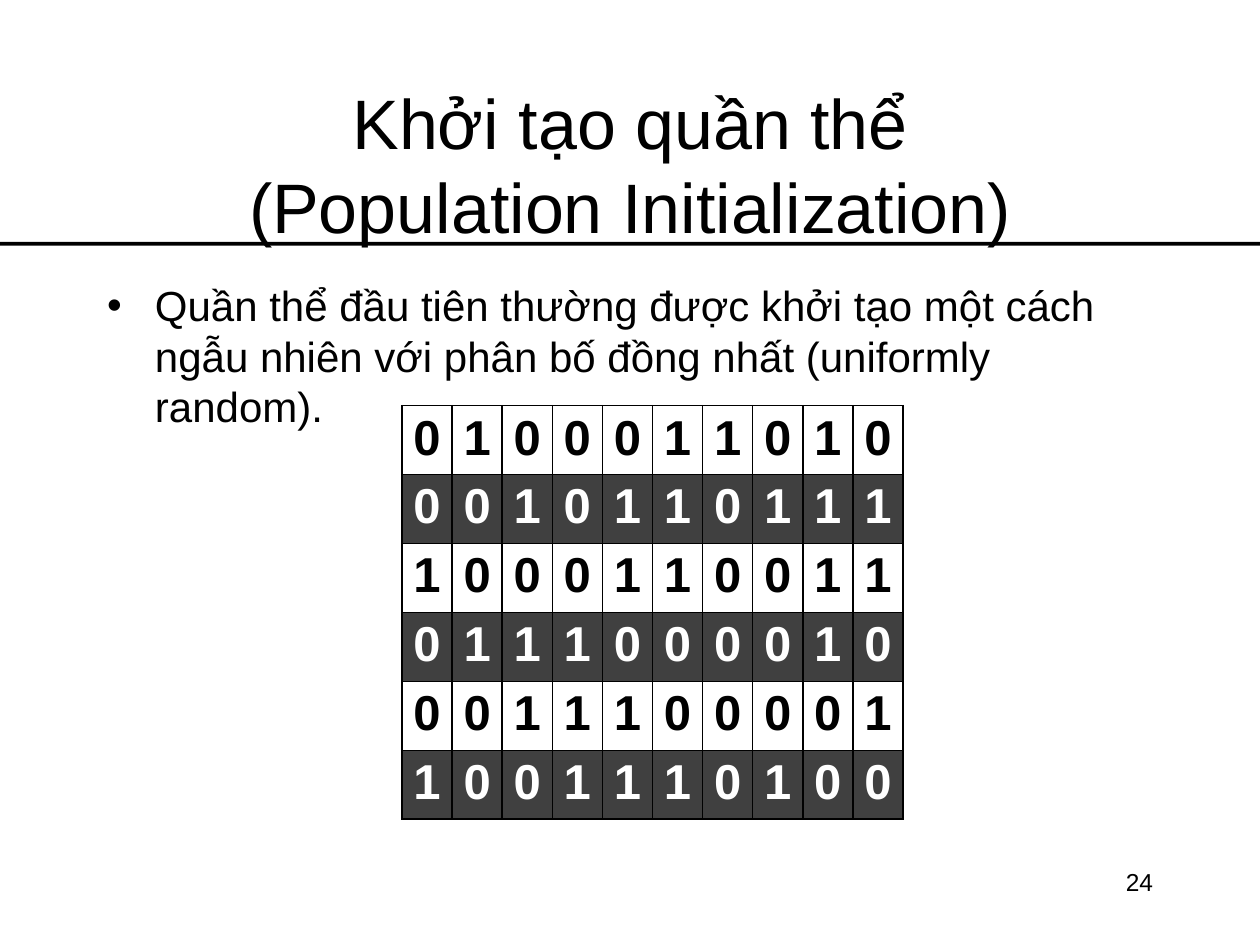
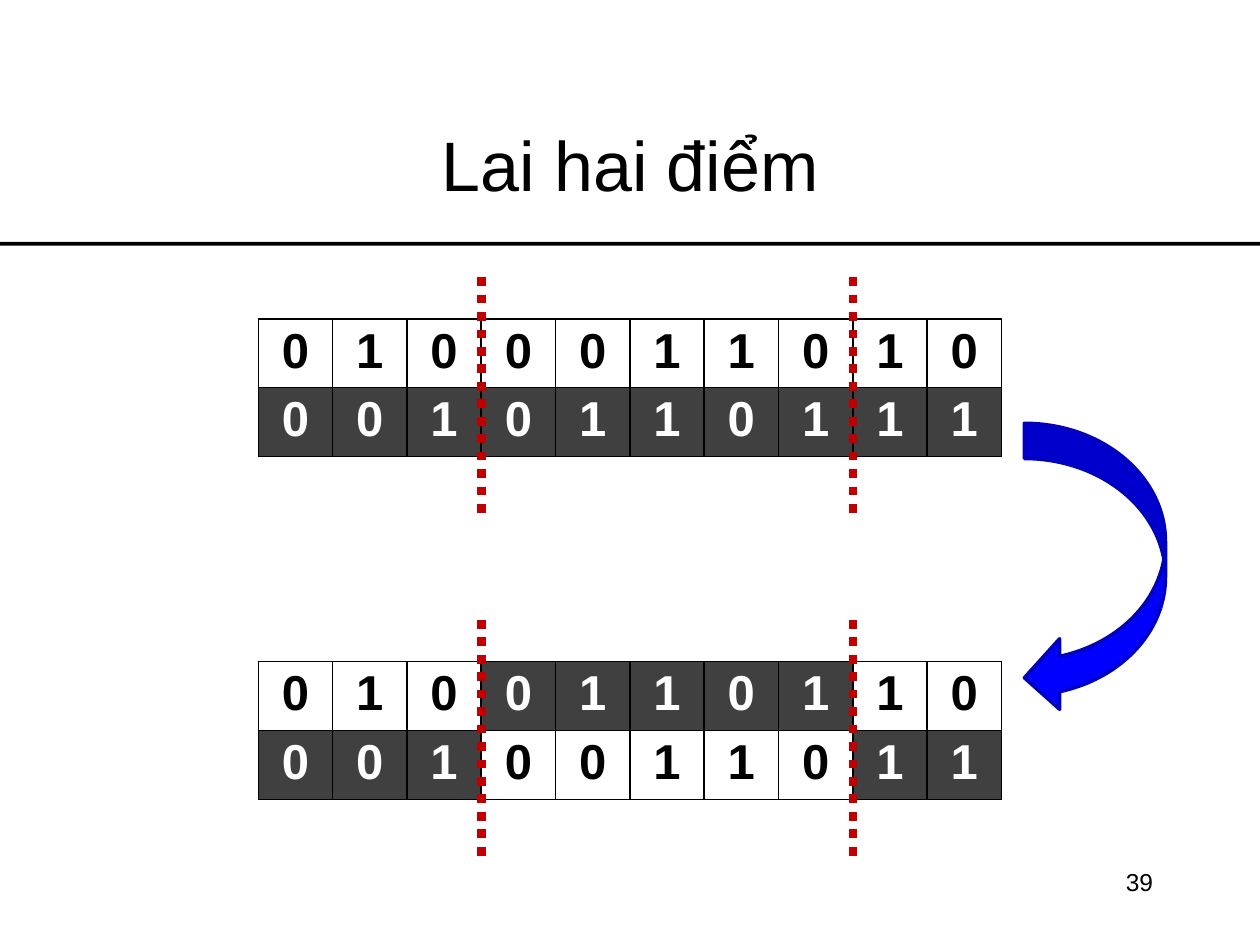
from dataclasses import dataclass

from lxml.etree import SubElement
from pptx import Presentation
from pptx.dml.color import RGBColor
from pptx.enum.dml import MSO_LINE
from pptx.enum.shapes import MSO_CONNECTOR, MSO_SHAPE
from pptx.enum.text import MSO_ANCHOR, MSO_AUTO_SIZE, PP_ALIGN
from pptx.oxml.ns import qn
from pptx.util import Inches, Pt


@dataclass(frozen=True)
class Theme:
    font: str = "Arial"
    ink: RGBColor = RGBColor(0x00, 0x00, 0x00)
    paper: RGBColor = RGBColor(0xFF, 0xFF, 0xFF)
    dark: RGBColor = RGBColor(0x40, 0x40, 0x40)
    cut: RGBColor = RGBColor(0xC0, 0x00, 0x00)
    arrow: RGBColor = RGBColor(0x00, 0x00, 0xFF)
    arrow_edge: RGBColor = RGBColor(0x00, 0x00, 0xBD)
    title_size: int = 40
    body_size: int = 24
    bit_size: int = 28
    number_size: int = 14


THEME = Theme()

# Boxes: left, top, width, height in inches
TITLE_BOX = (0.75, 0.67, 8.5, 1.25)
RULE_BOX = (0, 1.92, 10, 0.03)
BODY_BOX = (0.75, 2.17, 8.5, 4.5)
NUMBER_BOX = (7.17, 6.83, 2.08, 0.5)
POPULATION_BOX = (3.19, 3.22, 3.98, 3.12)
PARENTS_BOX = (2.05, 2.53, 5.9, 1.04)
CHILDREN_BOX = (2.05, 5.25, 5.9, 1.04)
ARROW_BOX = (8.13, 3.36, 1.12, 2.3)

POPULATION = ["0100011010", "0010110111", "1000110011",
              "0111000010", "0011100001", "1001110100"]
CUTS = (3, 8)
CUT_OVERHANG = 0.33
CUT_LENGTH = 1.9


def apply_format(target, values):
    for attribute, value in values.items():
        setattr(target, attribute, value)


def place(part, box):
    names = ("left", "top", "width", "height")
    apply_format(part, dict(zip(names, map(Inches, box))))


def style_paragraph(paragraph, size, align, color=THEME.ink, bold=False):
    apply_format(paragraph, {"alignment": align, "space_before": Pt(0)})
    apply_format(paragraph.font, {"name": THEME.font, "size": Pt(size), "bold": bold})
    paragraph.font.color.rgb = color


def add_filled_shape(slide, kind, box, fill):
    shape = slide.shapes.add_shape(kind, *map(Inches, box))
    shape.shadow.inherit = False
    shape.fill.solid()
    shape.fill.fore_color.rgb = fill
    return shape


# Title, rule and page number shared by the slides
def add_frame(deck, layout_index, title_lines, number):
    slide = deck.slides.add_slide(deck.slide_layouts[layout_index])
    rule = add_filled_shape(slide, MSO_SHAPE.RECTANGLE, RULE_BOX, THEME.ink)
    rule.line.fill.background()

    title = slide.shapes.title
    place(title, TITLE_BOX)
    apply_format(title.text_frame, {"vertical_anchor": MSO_ANCHOR.MIDDLE,
                                    "auto_size": MSO_AUTO_SIZE.NONE,
                                    "word_wrap": True})
    heading = title.text_frame.paragraphs[0]
    for index, line in enumerate(title_lines):
        if index:
            heading.add_line_break()
        heading.add_run().text = line
    style_paragraph(heading, THEME.title_size, PP_ALIGN.CENTER)

    page_number = slide.shapes.add_textbox(*map(Inches, NUMBER_BOX)).text_frame
    page_number.word_wrap = True
    page_number.text = str(number)
    style_paragraph(page_number.paragraphs[0], THEME.number_size, PP_ALIGN.RIGHT)
    return slide


def add_bullet_text(slide, box, sentence):
    body = slide.placeholders[1]
    place(body, box)
    apply_format(body.text_frame, {"text": sentence, "word_wrap": True,
                                   "auto_size": MSO_AUTO_SIZE.NONE})
    paragraph = body.text_frame.paragraphs[0]
    properties = paragraph._p.get_or_add_pPr()
    properties.set("marL", str(Inches(0.38)))
    properties.set("indent", str(-Inches(0.38)))
    SubElement(properties, qn("a:buChar"), char="•")
    style_paragraph(paragraph, THEME.body_size, PP_ALIGN.LEFT)


# Chromosomes: each gene is a bit with the shade of its parent
def chromosome(bits, is_dark):
    return [(bit, is_dark) for bit in bits]


def cross_over(first, second):
    start, end = CUTS
    return [a[:start] + b[start:end] + a[end:]
            for a, b in ((first, second), (second, first))]


def add_cell_borders(cell):
    properties = cell._tc.get_or_add_tcPr()
    for side in ("lnL", "lnR", "lnT", "lnB"):
        border = SubElement(properties, qn(f"a:{side}"), w=str(Pt(1)))
        fill = SubElement(border, qn("a:solidFill"))
        SubElement(fill, qn("a:srgbClr"), val=str(THEME.ink))


def add_gene_table(slide, box, chromosomes):
    rows, columns = len(chromosomes), len(chromosomes[0])
    table = slide.shapes.add_table(rows, columns, *map(Inches, box)).table
    apply_format(table, {"first_row": False, "horz_banding": False})
    for column in table.columns:
        column.width = Inches(box[2] / columns)
    for row, genes in zip(table.rows, chromosomes):
        row.height = Inches(box[3] / rows)
        for cell, (bit, is_dark) in zip(row.cells, genes):
            apply_format(cell, {"text": bit,
                                "margin_left": Inches(0.09), "margin_right": Inches(0.09),
                                "margin_top": Inches(0.04), "margin_bottom": Inches(0.04)})
            add_cell_borders(cell)
            cell.fill.solid()
            cell.fill.fore_color.rgb = THEME.dark if is_dark else THEME.paper
            style_paragraph(cell.text_frame.paragraphs[0], THEME.bit_size, PP_ALIGN.CENTER,
                            THEME.paper if is_dark else THEME.ink, bold=True)


def add_cut_lines(slide, box, gene_count):
    left, top, width, _ = box
    start = top - CUT_OVERHANG
    for cut in CUTS:
        x = left + width * cut / gene_count
        cut_line = slide.shapes.add_connector(
            MSO_CONNECTOR.STRAIGHT, *map(Inches, (x, start, x, start + CUT_LENGTH)))
        apply_format(cut_line.line, {"width": Pt(5), "dash_style": MSO_LINE.ROUND_DOT})
        cut_line.line.color.rgb = THEME.cut
        SubElement(cut_line._element.spPr, qn("a:effectLst"))


# Slides
def build_initialization(deck, genes):
    slide = add_frame(deck, 1, ["Khởi tạo quần thể", "(Population Initialization)"], 24)
    add_bullet_text(slide, BODY_BOX,
                    "Quần thể đầu tiên thường được khởi tạo một cách ngẫu nhiên "
                    "với phân bố đồng nhất (uniformly random).")
    add_gene_table(slide, POPULATION_BOX, genes)


def build_crossover(deck, parents):
    slide = add_frame(deck, 5, ["Lai hai điểm"], 39)
    generations = ((PARENTS_BOX, parents), (CHILDREN_BOX, cross_over(*parents)))
    for box, genes in generations:
        add_gene_table(slide, box, genes)
    for box, genes in generations:
        add_cut_lines(slide, box, len(genes[0]))
    arrow = add_filled_shape(slide, MSO_SHAPE.CURVED_LEFT_ARROW, ARROW_BOX, THEME.arrow)
    arrow.line.width = Pt(2)
    arrow.line.color.rgb = THEME.arrow_edge


def main():
    deck = Presentation()
    apply_format(deck, {"slide_width": Inches(10), "slide_height": Inches(7.5)})
    genes = [chromosome(bits, index % 2 == 1) for index, bits in enumerate(POPULATION)]
    build_initialization(deck, genes)
    build_crossover(deck, genes[:2])
    deck.save("out.pptx")


if __name__ == "__main__":
    main()
